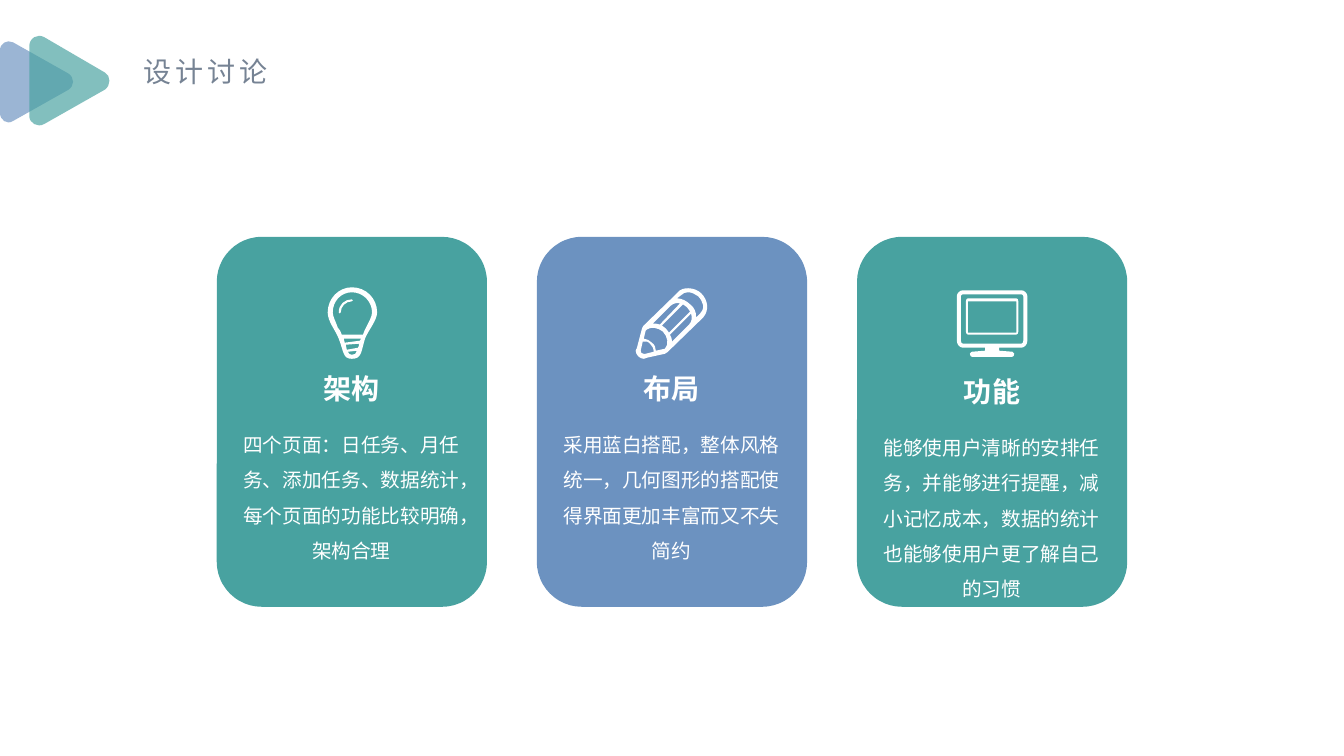
from lxml.etree import SubElement
from pptx import Presentation
from pptx.dml.color import RGBColor
from pptx.enum.shapes import MSO_SHAPE
from pptx.enum.text import MSO_AUTO_SIZE, PP_ALIGN
from pptx.oxml.ns import qn
from pptx.util import Inches, Pt

FONT = "Noto Sans CJK SC"
TEAL, BLUE, WHITE, GREY = "48A2A0", "6C92C0", "FFFFFF", "768394"

# Outlines are in hundredths of an inch. Each is a list of contours;
# a pair is a point on a line, six numbers are a Bézier curve.
BACK_TRIANGLE = [[
    (68, 34), (13, 3), (7, 0, 0, 4, 0, 11), (0, 73),
    (0, 80, 7, 85, 13, 81), (68, 50), (74, 46, 74, 38, 68, 34)]]
FRONT_TRIANGLE = [[
    (75, 39), (15, 4), (8, 0, 0, 5, 0, 13), (0, 82),
    (0, 89, 8, 94, 15, 90), (75, 56), (81, 52, 81, 42, 75, 39)]]
BULB = [
    [(24, 0), (11, 0, 0, 11, 0, 25), (0, 34, 8, 43, 11, 51),
     (16, 64, 15, 71, 24, 71), (34, 71, 33, 64, 37, 51),
     (40, 43, 49, 33, 49, 25), (49, 11, 38, 0, 24, 0)],
    [(35, 47), (14, 47), (13, 44, 12, 42, 10, 40), (8, 34, 5, 29, 5, 25),
     (5, 14, 13, 5, 24, 5), (35, 5, 44, 14, 44, 25),
     (44, 29, 41, 34, 38, 40), (37, 42, 36, 44, 35, 47)],
    [(24, 67), (22, 67, 21, 66, 20, 64), (29, 63), (28, 66, 27, 67, 24, 67)],
    [(17, 55), (17, 54, 16, 53, 16, 51), (33, 51), (32, 53)],
    [(30, 60), (19, 62), (19, 61, 18, 59, 18, 57), (31, 56), (31, 58)],
]
BULB_SHINE = [[
    (24, 12), (17, 12, 11, 17, 11, 25), (12, 26), (13, 25),
    (13, 19, 18, 14, 24, 14), (25, 13)]]
PENCIL = [
    [(65, 5), (62, 2, 57, 0, 52, 0), (48, 0, 44, 1, 42, 4), (8, 37),
     (7, 38, 6, 40, 6, 41), (1, 60), (1, 60, 0, 61, 0, 62),
     (0, 66, 4, 70, 8, 70), (9, 70, 11, 69, 11, 69), (29, 65),
     (31, 64, 32, 63, 33, 62), (67, 29), (73, 22, 72, 12, 65, 5)],
    [(64, 25), (60, 29), (60, 23, 58, 19, 54, 16), (51, 13, 46, 10, 41, 10),
     (45, 7), (47, 5, 49, 4, 52, 4), (56, 4, 59, 6, 62, 8),
     (65, 11, 66, 14, 67, 17), (67, 21, 66, 23, 64, 25)],
    [(20, 62), (20, 59, 19, 56, 16, 54), (14, 52, 11, 50, 8, 50), (10, 42),
     (11, 41), (15, 38, 22, 39, 27, 43), (32, 48, 33, 56, 29, 60)],
    [(10, 65), (8, 65), (6, 65, 5, 64, 5, 62), (7, 53),
     (10, 52, 13, 53, 15, 56), (17, 58, 18, 60, 18, 63)],
    [(24, 36), (21, 35, 19, 35, 17, 35), (34, 18), (37, 15, 41, 14, 44, 15)],
    [(33, 44), (32, 43, 31, 41, 30, 40), (29, 39, 27, 38, 26, 37), (47, 16),
     (48, 17, 50, 18, 51, 19), (52, 20, 53, 22, 54, 23)],
    [(36, 52), (36, 50, 35, 48, 34, 46), (55, 25), (56, 29, 56, 33, 53, 36),
     (36, 53)],
]
SCREEN = [
    [(50, 0), (2, 0), (1, 0, 0, 1, 0, 3), (0, 33), (0, 35, 1, 36, 2, 36),
     (50, 36), (51, 36, 52, 35, 52, 33), (52, 3), (52, 1, 51, 0, 50, 0)],
    [(50, 34), (2, 34), (2, 3), (50, 3)],
]
MONITOR = [
    [(64, 0), (6, 0), (3, 0, 0, 3, 0, 6), (0, 50), (0, 54, 3, 57, 6, 57),
     (28, 57), (28, 60), (15, 61), (14, 62, 13, 62, 13, 63),
     (13, 65, 14, 66, 15, 66), (55, 66), (56, 66, 57, 65, 57, 63),
     (57, 62, 56, 62, 55, 61), (42, 60), (42, 57), (64, 57),
     (67, 57, 70, 54, 70, 50), (70, 6), (70, 3, 67, 0, 64, 0)],
    [(66, 50), (66, 52, 65, 53, 64, 53), (6, 53), (5, 53, 4, 52, 4, 50),
     (4, 6), (4, 5, 5, 4, 6, 4), (64, 4), (65, 4, 66, 5, 66, 6)],
]

# title, body, colour, icon parts with their offsets, text drop, body height
CARDS = [
    ("架构", "四个页面：日任务、月任务、添加任务、数据统计，每个页面的功能比较明确，架构合理",
     TEAL, [(BULB, 1.1, 0.5), (BULB_SHINE, 1.1, 0.5)], 0, 1.51),
    ("布局", "采用蓝白搭配，整体风格统一，几何图形的搭配使得界面更加丰富而又不失简约",
     BLUE, [(PENCIL, 0.98, 0.51)], 0, 1.51),
    ("功能", "能够使用户清晰的安排任务，并能够进行提醒，减小记忆成本，数据的统计也能够使用户更了解自己的习惯",
     TEAL, [(SCREEN, 1.08, 0.61), (MONITOR, 0.99, 0.53)], 0.03, 1.87),
]
FIRST_CARD_LEFT, LAST_CARD_LEFT, CARD_TOP = 2.15, 8.5, 2.35
CARD_WIDTH, CARD_HEIGHT = 2.68, 3.67


def rgb(color):
    return RGBColor.from_string(color)


def paint(shape, color, opacity=None):
    """Give a shape a plain fill with no line or shadow."""
    shape.shadow.inherit = False
    shape.fill.solid()
    shape.fill.fore_color.rgb = rgb(color)
    shape.line.fill.background()
    if opacity is not None:
        fill_color = shape._element.spPr.find(qn("a:solidFill"))[0]
        SubElement(fill_color, qn("a:alpha"), val=str(opacity * 1000))


def bend_lines(shape, parts):
    """Merge the three lines that stand for each curve into one Bézier curve."""
    lines = iter(list(shape._element.iter(qn("a:lnTo"))))
    for part in parts:
        line = next(lines)
        if len(part) == 6:
            curve = SubElement(line.getparent(), qn("a:cubicBezTo"))
            line.addprevious(curve)
            for control in (line, next(lines), next(lines)):
                curve.append(control[0])
                control.getparent().remove(control)


def add_outline(slide, outline, left, top, color, opacity=None):
    builder = None
    for contour in outline:
        points = [(Inches(part[i] / 100), Inches(part[i + 1] / 100))
                  for part in contour for i in range(0, len(part), 2)]
        if builder is None:
            builder = slide.shapes.build_freeform(*points[0])
        else:
            builder.move_to(*points[0])
        builder.add_line_segments(points[1:], close=True)
    shape = builder.convert_to_shape(Inches(left), Inches(top))
    bend_lines(shape, [part for contour in outline for part in contour[1:]])
    paint(shape, color, opacity)


def add_text(slide, box, text, font_format, align=PP_ALIGN.CENTER,
             wrap=False, line_spacing=None, letter_spacing=None):
    frame = slide.shapes.add_textbox(*map(Inches, box)).text_frame
    frame.word_wrap = wrap
    frame.auto_size = MSO_AUTO_SIZE.SHAPE_TO_FIT_TEXT
    paragraph = frame.paragraphs[0]
    paragraph.alignment = align
    paragraph.line_spacing = line_spacing
    run = paragraph.add_run()
    run.text = text
    for name, value in {"name": FONT, **font_format}.items():
        if name == "color":
            run.font.color.rgb = rgb(value)
        else:
            setattr(run.font, name, value)
    properties = run._r.get_or_add_rPr()
    SubElement(properties, qn("a:ea"), typeface=FONT)
    if letter_spacing:
        properties.set("spc", str(letter_spacing * 100))


def add_header(slide, left, top):
    add_text(slide, (left + 1.32, top + 0.15, 1.48, 0.44), "设计讨论",
             {"size": Pt(20), "color": GREY}, PP_ALIGN.LEFT, letter_spacing=3)
    add_outline(slide, BACK_TRIANGLE, left, top + 0.05, BLUE, 68)
    add_outline(slide, FRONT_TRIANGLE, left + 0.29, top - 0.01, TEAL, 68)


def add_card(slide, left, top, title, body, color, icon, text_drop, body_height):
    card = slide.shapes.add_shape(
        MSO_SHAPE.ROUNDED_RECTANGLE,
        *map(Inches, (left, top, CARD_WIDTH, CARD_HEIGHT)))
    paint(card, color)
    text_top = top + text_drop
    add_text(slide, (left + 0.96, text_top + 1.29, 0.76, 0.44), title,
             {"size": Pt(20), "bold": True, "color": WHITE})
    add_text(slide, (left + 0.09, text_top + 1.78, 2.49, body_height), body,
             {"size": Pt(14), "color": WHITE}, wrap=True, line_spacing=1.5)
    for outline, across, down in icon:
        add_outline(slide, outline, left + across, top + down, WHITE)


def main():
    presentation = Presentation()
    presentation.slide_width = Inches(13.33)
    presentation.slide_height = Inches(7.5)
    slide = presentation.slides.add_slide(presentation.slide_layouts[6])
    add_header(slide, 0, 0.34)
    pitch = (LAST_CARD_LEFT - FIRST_CARD_LEFT) / (len(CARDS) - 1)
    for index, card in enumerate(CARDS):
        add_card(slide, FIRST_CARD_LEFT + index * pitch, CARD_TOP, *card)
    presentation.save("out.pptx")


if __name__ == "__main__":
    main()
